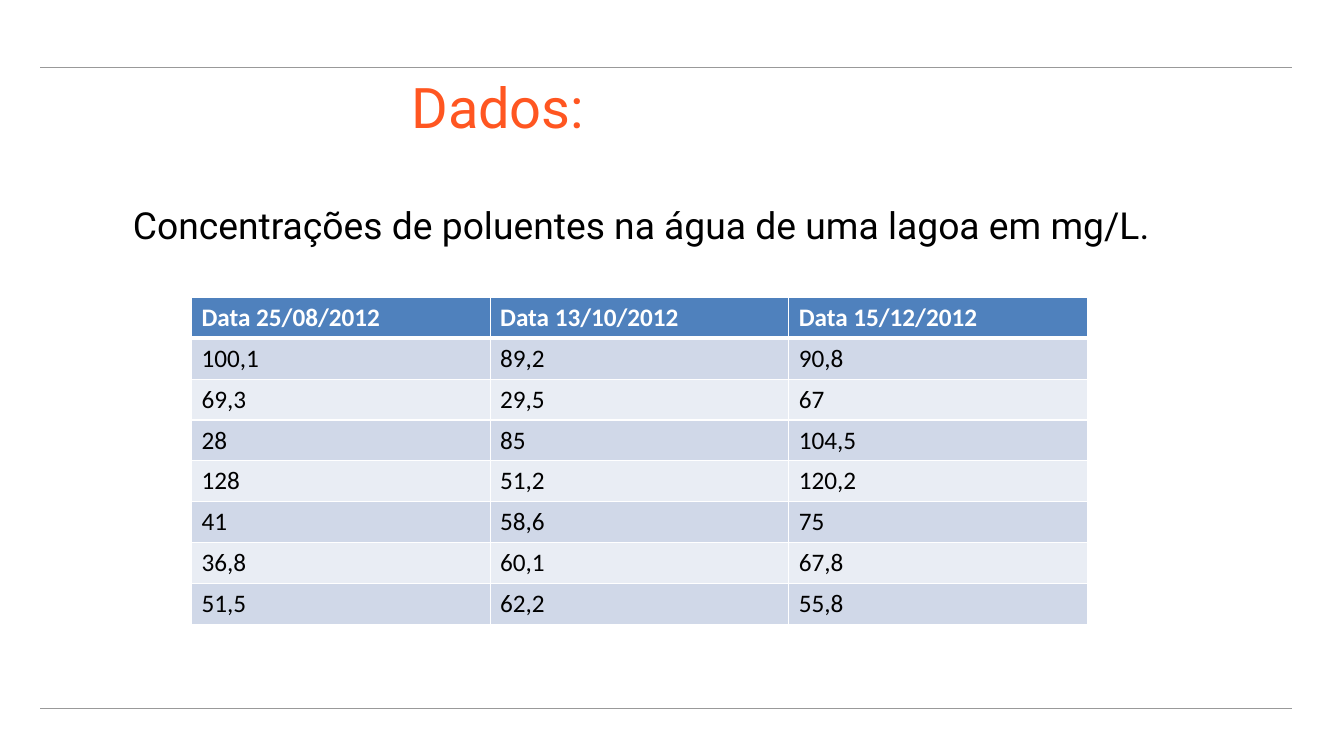
"""Build the slide with pollutant concentrations measured in a lagoon."""
from dataclasses import dataclass

import lxml.etree
import pptx
import pptx.dml.color
import pptx.enum.shapes
import pptx.enum.text
import pptx.oxml.ns
import pptx.slide
import pptx.table
import pptx.util

Pt = pptx.util.Pt


@dataclass(frozen=True)
class Theme:
    """Colours, fonts and type sizes of the slide."""

    accent: str = "FF5621"
    ink: str = "000000"
    rule: str = "999999"
    white: str = "FFFFFF"
    header: str = "4F81BD"
    bands: tuple[str, str] = ("D0D8E8", "E9EDF4")
    text_font: str = "Roboto"
    table_font: str = "Calibri"
    title_size: float = 40
    caption_size: float = 26.6
    table_size: float = 18


@dataclass(frozen=True)
class TextLine:
    """A line of text with its box in points."""

    text: str
    left: float
    top: float
    width: float
    height: float
    size: float
    color: str


@dataclass(frozen=True)
class CellStyle:
    """Fill, text colour, weight and bottom border of a table cell."""

    fill: str
    color: str
    bold: bool
    bottom: float


THEME = Theme()
RULE_LEFT, RULE_RIGHT = 28.8, 923
RULE_TOPS = (48.3, 506.2)
TEXT_LINES = (
    TextLine("Dados:", 293.8, 51.8, 372.2, 48.2, THEME.title_size, THEME.accent),
    TextLine("Concentrações de poluentes na água de uma lagoa em mg/L.",
             95, 144.7, 758.2, 32.4, THEME.caption_size, THEME.ink),
)
TABLE_LEFT, TABLE_TOP = 136.8, 212.4
COLUMN_WIDTH, ROW_HEIGHT = 213.3, 29.2
CONCENTRATIONS = (
    ("Data 25/08/2012", "Data 13/10/2012", "Data 15/12/2012"),
    ("100,1", "89,2", "90,8"),
    ("69,3", "29,5", "67"),
    ("28", "85", "104,5"),
    ("128", "51,2", "120,2"),
    ("41", "58,6", "75"),
    ("36,8", "60,1", "67,8"),
    ("51,5", "62,2", "55,8"),
)


def rgb(color: str) -> pptx.dml.color.RGBColor:
    """Return the colour for a hexadecimal string."""
    return pptx.dml.color.RGBColor.from_string(color)


def draw_rule(slide: pptx.slide.Slide, top: float) -> None:
    """Draw a thin horizontal rule across the slide."""
    rule = slide.shapes.add_connector(
        pptx.enum.shapes.MSO_CONNECTOR.STRAIGHT,
        Pt(RULE_LEFT), Pt(top), Pt(RULE_RIGHT), Pt(top))
    rule.line.color.rgb = rgb(THEME.rule)
    rule.line.width = Pt(0.75)
    lxml.etree.SubElement(rule._element.spPr, pptx.oxml.ns.qn("a:effectLst"))


def draw_text(slide: pptx.slide.Slide, line: TextLine) -> None:
    """Draw a line of text without insets."""
    box = slide.shapes.add_textbox(
        Pt(line.left), Pt(line.top), Pt(line.width), Pt(line.height))
    frame = box.text_frame
    frame.word_wrap = True
    frame.auto_size = pptx.enum.text.MSO_AUTO_SIZE.SHAPE_TO_FIT_TEXT
    frame.margin_left = frame.margin_right = Pt(0)
    frame.margin_top = frame.margin_bottom = Pt(0)
    paragraph = frame.paragraphs[0]
    paragraph.text = line.text
    paragraph.font.name = THEME.text_font
    paragraph.font.size = Pt(line.size)
    paragraph.font.color.rgb = rgb(line.color)


def style_for(row: int) -> CellStyle:
    """Return the header style or the alternating band style."""
    if row == 0:
        return CellStyle(THEME.header, THEME.white, True, 3)
    return CellStyle(THEME.bands[(row - 1) % 2], THEME.ink, False, 1)


def add_border(cell: pptx.table._Cell, side: str, width: float) -> None:
    """Add a white border to one side of a cell."""
    qn = pptx.oxml.ns.qn
    properties = cell._tc.get_or_add_tcPr()
    border = lxml.etree.SubElement(properties, qn(f"a:ln{side}"), w=str(Pt(width)))
    fill = lxml.etree.SubElement(border, qn("a:solidFill"))
    lxml.etree.SubElement(fill, qn("a:srgbClr"), val=THEME.white)


def fill_cell(cell: pptx.table._Cell, text: str, row: int) -> None:
    """Write and style one table cell."""
    style = style_for(row)
    top = style_for(row - 1).bottom if row else 1
    for side, width in (("L", 1), ("R", 1), ("T", top), ("B", style.bottom)):
        add_border(cell, side, width)
    cell.fill.solid()
    cell.fill.fore_color.rgb = rgb(style.fill)
    paragraph = cell.text_frame.paragraphs[0]
    paragraph.text = text
    paragraph.font.name = THEME.table_font
    paragraph.font.size = Pt(THEME.table_size)
    paragraph.font.bold = style.bold
    paragraph.font.color.rgb = rgb(style.color)


def draw_concentrations(slide: pptx.slide.Slide) -> None:
    """Draw the table of concentrations by date."""
    rows, columns = len(CONCENTRATIONS), len(CONCENTRATIONS[0])
    table = slide.shapes.add_table(
        rows, columns, Pt(TABLE_LEFT), Pt(TABLE_TOP),
        Pt(columns * COLUMN_WIDTH), Pt(rows * ROW_HEIGHT)).table
    for column in table.columns:
        column.width = Pt(COLUMN_WIDTH)
    for row, values in enumerate(CONCENTRATIONS):
        table.rows[row].height = Pt(ROW_HEIGHT)
        for column, value in enumerate(values):
            fill_cell(table.cell(row, column), value, row)


def main() -> None:
    """Build and save the presentation."""
    presentation = pptx.Presentation()
    presentation.slide_width = Pt(960)
    presentation.slide_height = Pt(540)
    slide = presentation.slides.add_slide(presentation.slide_layouts[6])
    for top in RULE_TOPS:
        draw_rule(slide, top)
    for line in TEXT_LINES:
        draw_text(slide, line)
    draw_concentrations(slide)
    presentation.save("out.pptx")


if __name__ == "__main__":
    main()
